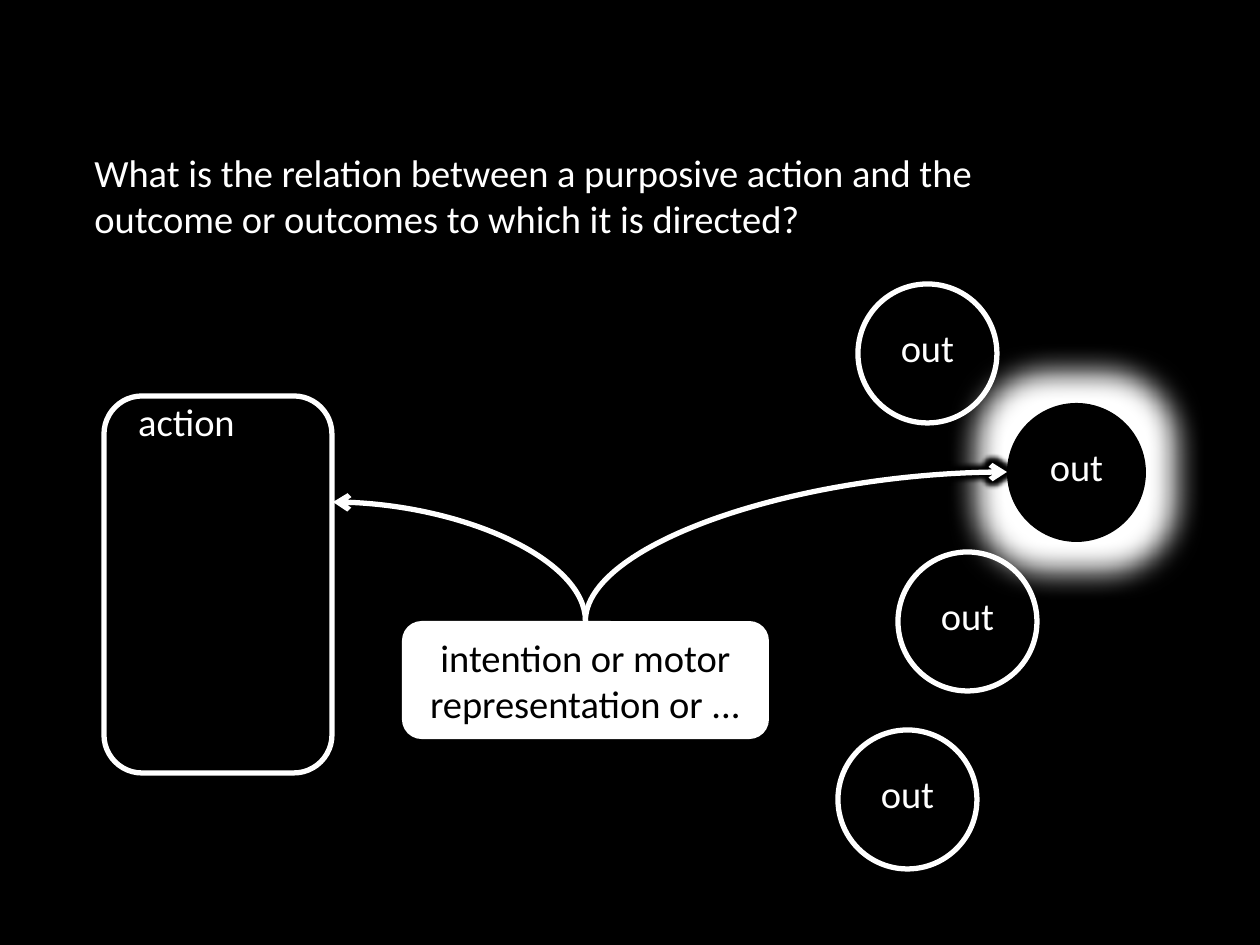
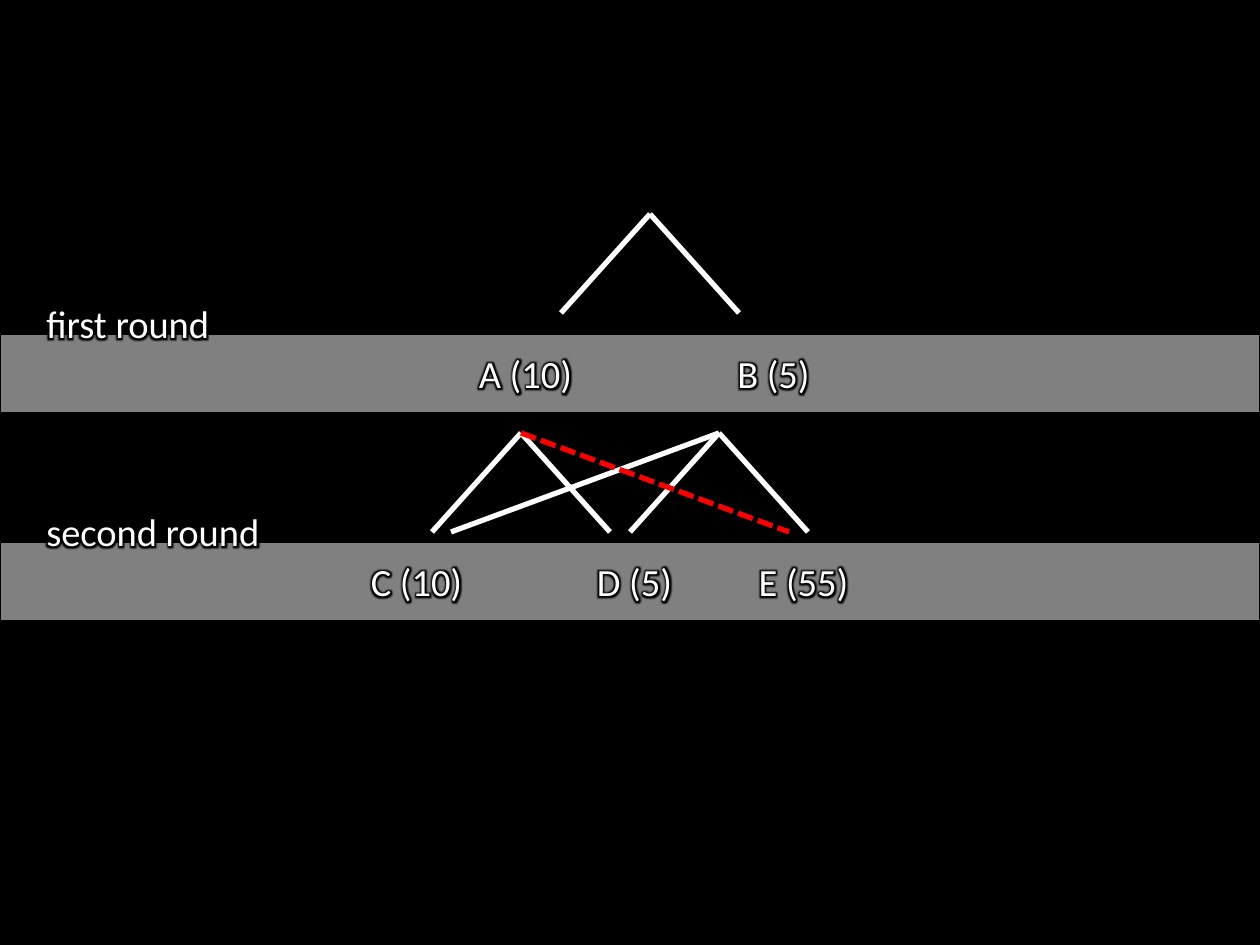
from lxml.etree import SubElement
from pptx import Presentation
from pptx.dml.color import RGBColor
from pptx.enum.dml import MSO_LINE
from pptx.enum.shapes import MSO_CONNECTOR, MSO_SHAPE
from pptx.enum.text import MSO_ANCHOR, PP_ALIGN
from pptx.oxml.ns import qn
from pptx.util import Emu, Pt

COLOURS = {"ground": "000000", "ink": "FFFFFF", "band": "808080", "excluded": "FF0000"}
FONT = "Calibri"
TEXT_SIZE = 22
STROKE = 3
PAGE_WIDTH, PAGE_HEIGHT = 1260, 945
CIRCLE = 139
FORK_HEIGHT = 99
HALO = 10


def px(length):
    return Emu(round(length * 914400 / 126))


def colour(name):
    return RGBColor.from_string(COLOURS[name])


def add_glow(effects, name, radius):
    glow = SubElement(effects, qn("a:glow"), rad=str(px(radius)))
    SubElement(glow, qn("a:srgbClr"), val=COLOURS[name])


def add_page(deck):
    page = deck.slides.add_slide(deck.slide_layouts[6])
    page.background.fill.solid()
    page.background.fill.fore_color.rgb = colour("ground")
    return page


def write(shape, text, ink="ink", align=PP_ALIGN.LEFT, halo=False):
    shape.text_frame.word_wrap = True
    para = shape.text_frame.paragraphs[0]
    para.alignment = align
    span = para.add_run()
    span.text = text
    span.font.name = FONT
    span.font.size = Pt(TEXT_SIZE)
    span.font.color.rgb = colour(ink)
    if halo:
        effects = SubElement(span.font._element, qn("a:effectLst"))
        span.font._element.find(qn("a:solidFill")).addnext(effects)
        add_glow(effects, "ground", HALO)
    return para


def add_text(page, box, text, **style):
    frame = page.shapes.add_textbox(*map(px, box))
    return write(frame, text, **style)


def add_block(page, kind, box, fill=None, line=None, weight=STROKE):
    block = page.shapes.add_shape(kind, *map(px, box))
    block.shadow.inherit = False
    block.text_frame.vertical_anchor = MSO_ANCHOR.MIDDLE
    if fill:
        block.fill.solid()
        block.fill.fore_color.rgb = colour(fill)
    else:
        block.fill.background()
    if line:
        block.line.color.rgb = colour(line)
        block.line.width = Pt(weight)
    else:
        block.line.fill.background()
    return block


def add_line(page, start, end, ink="ink", kind=MSO_CONNECTOR.STRAIGHT):
    line = page.shapes.add_connector(kind, *map(px, start + end))
    line.line.color.rgb = colour(ink)
    line.line.width = Pt(STROKE)
    SubElement(line._element.spPr, qn("a:effectLst"))
    return line


def write_spaced(block, text):
    block.text_frame.vertical_anchor = MSO_ANCHOR.TOP
    para = write(block, text, align=PP_ALIGN.CENTER)
    para.line_spacing = Pt(34)
    para.space_before = Pt(12)


def add_action(page, left, top, width, height):
    add_block(page, MSO_SHAPE.ROUNDED_RECTANGLE, (left, top, width, height), "ground", "ink")
    label = add_block(page, MSO_SHAPE.OVAL, (left, top - 32, 165, 100))
    label.text_frame.margin_left = label.text_frame.margin_right = 0
    write_spaced(label, "action")


def add_outcome(page, left, top, chosen=False):
    box = (left, top, CIRCLE, CIRCLE)
    if chosen:
        outcome = add_block(page, MSO_SHAPE.OVAL, box, fill="ground")
        add_glow(outcome._element.spPr.find(qn("a:effectLst")), "ink", 60)
    else:
        outcome = add_block(page, MSO_SHAPE.OVAL, box, line="ink")
    write_spaced(outcome, "out")


def add_curve(page, target, source, source_top):
    curve = add_line(page, target, source_top, kind=MSO_CONNECTOR.CURVE)
    curve.end_connect(source, 0)
    properties = curve._element.spPr
    properties.find(qn("a:prstGeom")).set("prst", "curvedConnector2")
    SubElement(properties.find(qn("a:ln")), qn("a:headEnd"), type="arrow")
    return curve


def build_relation_page(deck):
    page = add_page(deck)
    add_action(page, 104, 396, 228, 377)
    add_text(
        page,
        (82, 143, 1005, 106),
        "What is the relation between a purposive action and the "
        "outcome or outcomes to which it is directed?",
    )
    for left, top, chosen in (
        (858, 284, False),
        (1007, 403, True),
        (898, 552, False),
        (838, 730, False),
    ):
        add_outcome(page, left, top, chosen)
    left, top, width, height = box = (402, 621, 367, 118)
    state = add_block(page, MSO_SHAPE.ROUNDED_RECTANGLE, box, fill="ink")
    write(state, "intention or motor representation or ...", "ground", PP_ALIGN.CENTER)
    state_top = (left + width // 2, top)
    to_outcome = add_curve(page, (1007, 472), state, state_top)
    add_glow(to_outcome._element.spPr.find(qn("a:effectLst")), "ground", HALO)
    state._element.addprevious(to_outcome._element)
    add_curve(page, (333, 502), state, state_top)


def add_band(page, top):
    add_block(page, MSO_SHAPE.RECTANGLE, (0, top, PAGE_WIDTH, 79), "band", "ground", 0.75)


def add_round(page, top, name, options):
    for text, left in options:
        para = add_text(
            page, (left, top + 10, 189, 59), text, align=PP_ALIGN.CENTER, halo=True
        )
        para.space_after = Pt(8)
    para = add_text(page, (34, top - 40, 289, 59), name, halo=True)
    para.space_after = Pt(8)


def add_fork(page, apex, feet):
    left, top = apex
    for foot, ink in feet:
        add_line(page, apex, (left + foot, top + FORK_HEIGHT), ink)


def build_rounds_page(deck):
    page = add_page(deck)
    rounds = (
        (334, "first round", (("A (10)", 431), ("B (5)", 679))),
        (542, "second round", (("C (10)", 322), ("D (5)", 540), ("E (55)", 709))),
    )
    for top, _, _ in rounds:
        add_band(page, top)
    for top, name, options in rounds:
        add_round(page, top, name, options)
    pair = ((-89, "ink"), (89, "ink"))
    add_fork(page, (650, 214), pair)
    add_fork(page, (719, 433), pair + ((-268, "ink"),))
    add_fork(page, (521, 433), pair)
    barred = add_line(page, (521, 433), (789, 433 + FORK_HEIGHT), "excluded")
    barred.line.dash_style = MSO_LINE.SQUARE_DOT


def main():
    deck = Presentation()
    deck.slide_width, deck.slide_height = px(PAGE_WIDTH), px(PAGE_HEIGHT)
    build_relation_page(deck)
    build_rounds_page(deck)
    deck.save("out.pptx")


if __name__ == "__main__":
    main()
